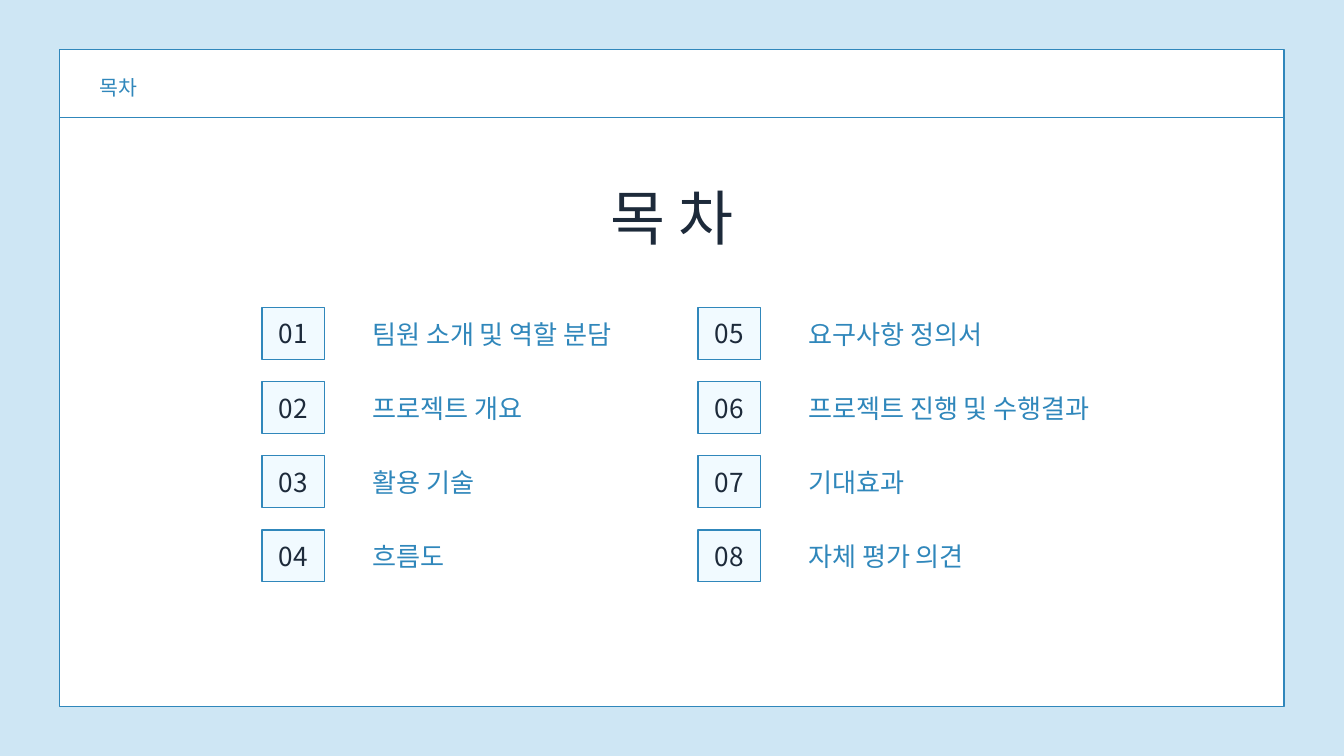
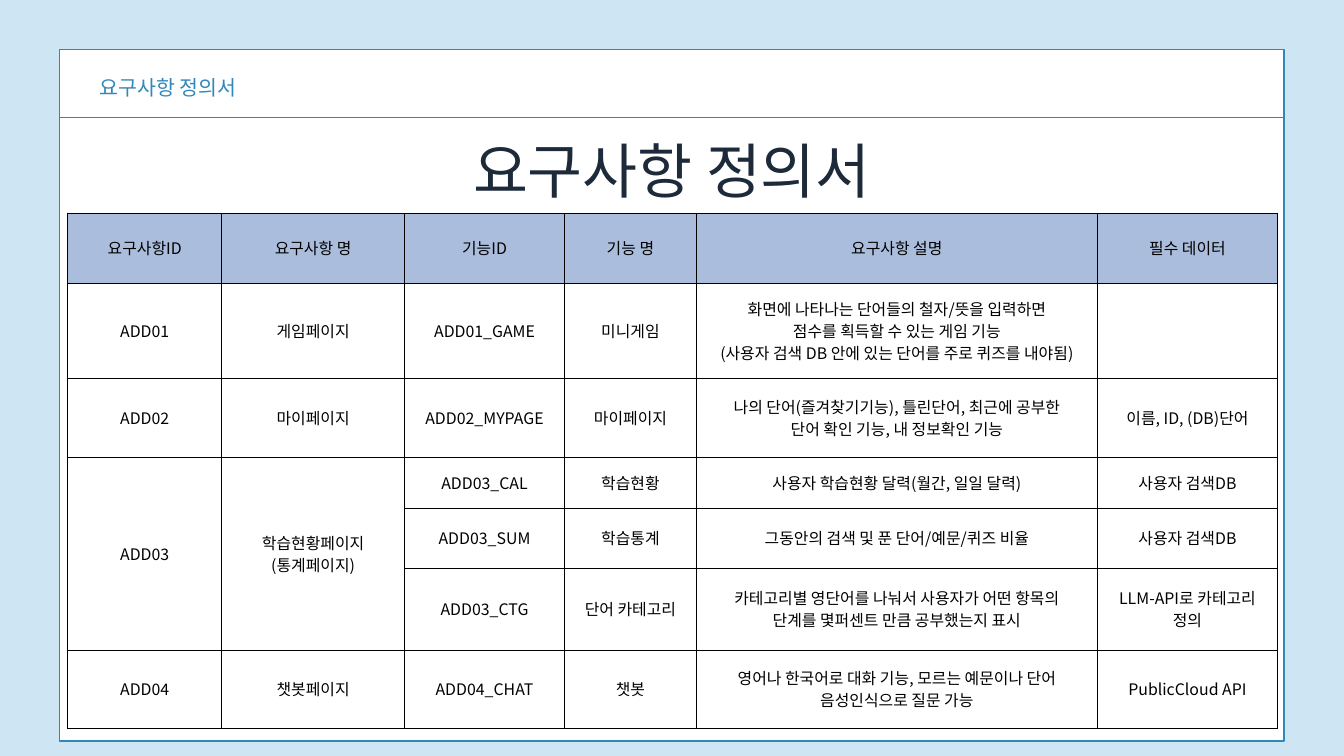
from dataclasses import dataclass

from lxml import etree
from pptx import Presentation
from pptx.dml.color import RGBColor
from pptx.enum.shapes import MSO_CONNECTOR, MSO_SHAPE
from pptx.enum.text import MSO_ANCHOR, MSO_AUTO_SIZE, PP_ALIGN
from pptx.oxml.ns import qn
from pptx.util import Cm, Pt

LEFT, CENTER = PP_ALIGN.LEFT, PP_ALIGN.CENTER
TOP, MIDDLE = MSO_ANCHOR.TOP, MSO_ANCHOR.MIDDLE
RECT, STRAIGHT = MSO_SHAPE.RECTANGLE, MSO_CONNECTOR.STRAIGHT
NO_FIT = MSO_AUTO_SIZE.NONE
TWO_LISTS, TITLE_ONLY = 3, 5


@dataclass(frozen=True)
class Theme:
    font: str = "Noto Sans CJK KR"
    sky: str = "CEE6F4"
    paper: str = "FFFFFF"
    blue: str = "3087BB"
    ice: str = "F1FAFF"
    navy: str = "1D2A3A"
    black: str = "000000"
    head: str = "ABBDDC"
    title: int = 64
    item: int = 28
    label: int = 22
    cell: int = 17
    line: float = 1.5
    grid: float = 0.75


T = Theme()

# Content
AGENDA = {
    "label": "목차",
    "title": "목 차",
    "lists": [
        ["팀원 소개 및 역할 분담", "프로젝트 개요", "활용 기술", "흐름도"],
        ["요구사항 정의서", "프로젝트 진행 및 수행결과", "기대효과", "자체 평가 의견"],
    ],
}
NEEDS = {
    "label": "요구사항 정의서",
    "title": "요구사항 정의서",
    "rows": [
        ["요구사항ID", "요구사항 명", "기능ID", "기능 명", "요구사항 설명", "필수 데이터"],
        ["ADD01", "게임페이지", "ADD01_GAME", "미니게임",
         "화면에 나타나는 단어들의 철자/뜻을 입력하면\n점수를 획득할 수 있는 게임 기능\n"
         "(사용자 검색 DB 안에 있는 단어를 주로 퀴즈를 내야됨)", ""],
        ["ADD02", "마이페이지", "ADD02_MYPAGE", "마이페이지",
         "나의 단어(즐겨찾기기능), 틀린단어, 최근에 공부한\n단어 확인 기능, 내 정보확인 기능",
         "이름, ID, (DB)단어"],
        ["ADD03", "학습현황페이지\n(통계페이지)", "ADD03_CAL", "학습현황",
         "사용자 학습현황 달력(월간, 일일 달력)", "사용자 검색DB"],
        ["", "", "ADD03_SUM", "학습통계",
         "그동안의 검색 및 푼 단어/예문/퀴즈 비율", "사용자 검색DB"],
        ["", "", "ADD03_CTG", "단어 카테고리",
         "카테고리별 영단어를 나눠서 사용자가 어떤 항목의\n단계를 몇퍼센트 만큼 공부했는지 표시",
         "LLM-API로 카테고리 정의"],
        ["ADD04", "챗봇페이지", "ADD04_CHAT", "챗봇",
         "영어나 한국어로 대화 기능, 모르는 예문이나 단어 음성인식으로 질문 가능",
         "PublicCloud API"],
    ],
}

# Layout in centimetres
WIDTH, HEIGHT = 50.8, 28.58
EDGE, CEIL, RULE = 2.26, 1.88, 4.45
TITLE_W, TITLE_H = 16.5, 3.02
BOX_X, BOX_Y, BOX_W, BOX_H = 9.91, 11.63, 2.36, 1.96
LIST_X, LIST_Y, LIST_W = 14.07, 12.03, 11.96
COL_STEP, ROW_STEP = 16.48, 2.8
GRID_X, GRID_Y, PAD = 2.56, 8.05, 0.53
COLS = [5.82, 6.91, 6.05, 4.98, 15.16, 6.81]
ROWS = [2.67, 3.51, 3, 1.93, 2.26, 3.1, 2.95]
SPAN = (3, 5)
SPAN_COLS = (0, 1)


def rgb(code):
    return RGBColor.from_string(code)


def style(frame, text, size, color, lead=1.4, align=LEFT, gap=0):
    """Fill a text frame and format each of its paragraphs."""
    frame.text = text
    for i, para in enumerate(frame.paragraphs):
        props = para._p.get_or_add_pPr()
        props.set("marL", "0")
        props.set("indent", "0")
        etree.SubElement(props, qn("a:buNone"))
        para.alignment = align
        para.line_spacing = Pt(size * lead)
        para.space_before = Pt(gap if i else 0)
        for run in para.runs:
            run.font.size = Pt(size)
            run.font.name = T.font
            run.font.color.rgb = rgb(color)
            etree.SubElement(run._r.get_or_add_rPr(), qn("a:ea"), typeface=T.font)


def fit(frame, anchor=TOP):
    frame.auto_size = NO_FIT
    frame.word_wrap = True
    frame.vertical_anchor = anchor
    frame.margin_left = frame.margin_right = 0
    frame.margin_top = frame.margin_bottom = 0


def place(shape, x, y, w, h):
    shape.left, shape.top, shape.width, shape.height = map(Cm, (x, y, w, h))


def panel(slide, x, y, w, h, fill):
    shape = slide.shapes.add_shape(RECT, Cm(x), Cm(y), Cm(w), Cm(h))
    shape.shadow.inherit = False
    shape.fill.solid()
    shape.fill.fore_color.rgb = rgb(fill)
    shape.line.color.rgb = rgb(T.blue)
    shape.line.width = Pt(T.line)
    return shape


def start(deck, layout, data, title_y, depth):
    """Add a slide with its background, frame, header and title."""
    slide = deck.slides.add_slide(deck.slide_layouts[layout])
    slide.background.fill.solid()
    slide.background.fill.fore_color.rgb = rgb(T.sky)

    # Frame goes behind the placeholders
    frame = panel(slide, EDGE, CEIL, WIDTH - 2 * EDGE, depth, T.paper).element
    frame.getparent().insert(2, frame)
    rule = slide.shapes.add_connector(
        STRAIGHT, Cm(EDGE), Cm(RULE), Cm(WIDTH - EDGE), Cm(RULE))
    rule.line.color.rgb = rgb(T.blue)
    rule.line.width = Pt(T.line)
    etree.SubElement(rule.element.spPr, qn("a:effectLst"))

    label = slide.shapes.add_textbox(Cm(3.76), Cm(2.69), Cm(8.18), Cm(1.07))
    fit(label.text_frame)
    style(label.text_frame, data["label"], T.label, T.blue)

    title = slide.shapes.title
    place(title, (WIDTH - TITLE_W) / 2, title_y, TITLE_W, TITLE_H)
    fit(title.text_frame)
    style(title.text_frame, data["title"], T.title, T.navy, align=CENTER)
    return slide


def agenda(deck):
    slide = start(deck, TWO_LISTS, AGENDA, 6.38, 24.82)
    gap = Cm(ROW_STEP).pt - T.item * 1.2
    for col, items in enumerate(AGENDA["lists"]):
        shift = col * COL_STEP
        body = slide.placeholders[col + 1]
        place(body, LIST_X + shift, LIST_Y, LIST_W, ROW_STEP * len(items))
        fit(body.text_frame)
        style(body.text_frame, "\n".join(items), T.item, T.blue, 1.2, gap=gap)

        # Numbered boxes beside the list
        for row in range(len(items)):
            box = panel(slide, BOX_X + shift, BOX_Y + row * ROW_STEP,
                        BOX_W, BOX_H, T.ice)
            fit(box.text_frame, MIDDLE)
            num = col * len(items) + row + 1
            style(box.text_frame, f"{num:02}", T.item, T.navy, 1.2, CENTER)


def border(cell):
    props = cell._tc.get_or_add_tcPr()
    for side in ("lnL", "lnR", "lnT", "lnB"):
        line = etree.SubElement(props, qn(f"a:{side}"), w=str(Pt(T.grid)))
        fill = etree.SubElement(line, qn("a:solidFill"))
        etree.SubElement(fill, qn("a:srgbClr"), val=T.black)


def needs(deck):
    slide = start(deck, TITLE_ONLY, NEEDS, 4.6, 26.14)
    table = slide.shapes.add_table(
        len(ROWS), len(COLS), Cm(GRID_X), Cm(GRID_Y),
        Cm(sum(COLS)), Cm(sum(ROWS))).table
    table.first_row = table.horz_banding = False
    for col, width in zip(table.columns, COLS):
        col.width = Cm(width)
    for row, height in zip(table.rows, ROWS):
        row.height = Cm(height)

    # Cells
    for r, texts in enumerate(NEEDS["rows"]):
        for c, text in enumerate(texts):
            cell = table.cell(r, c)
            cell.margin_left = cell.margin_right = Cm(PAD)
            cell.margin_top = cell.margin_bottom = Cm(PAD)
            cell.vertical_anchor = MIDDLE
            border(cell)
            if r == 0:
                cell.fill.solid()
                cell.fill.fore_color.rgb = rgb(T.head)
            else:
                cell.fill.background()
            style(cell.text_frame, text, T.cell, T.black, align=CENTER)
    for c in SPAN_COLS:
        table.cell(SPAN[0], c).merge(table.cell(SPAN[1], c))


def main():
    deck = Presentation()
    deck.slide_width, deck.slide_height = Cm(WIDTH), Cm(HEIGHT)
    agenda(deck)
    needs(deck)
    deck.save("out.pptx")


if __name__ == "__main__":
    main()
